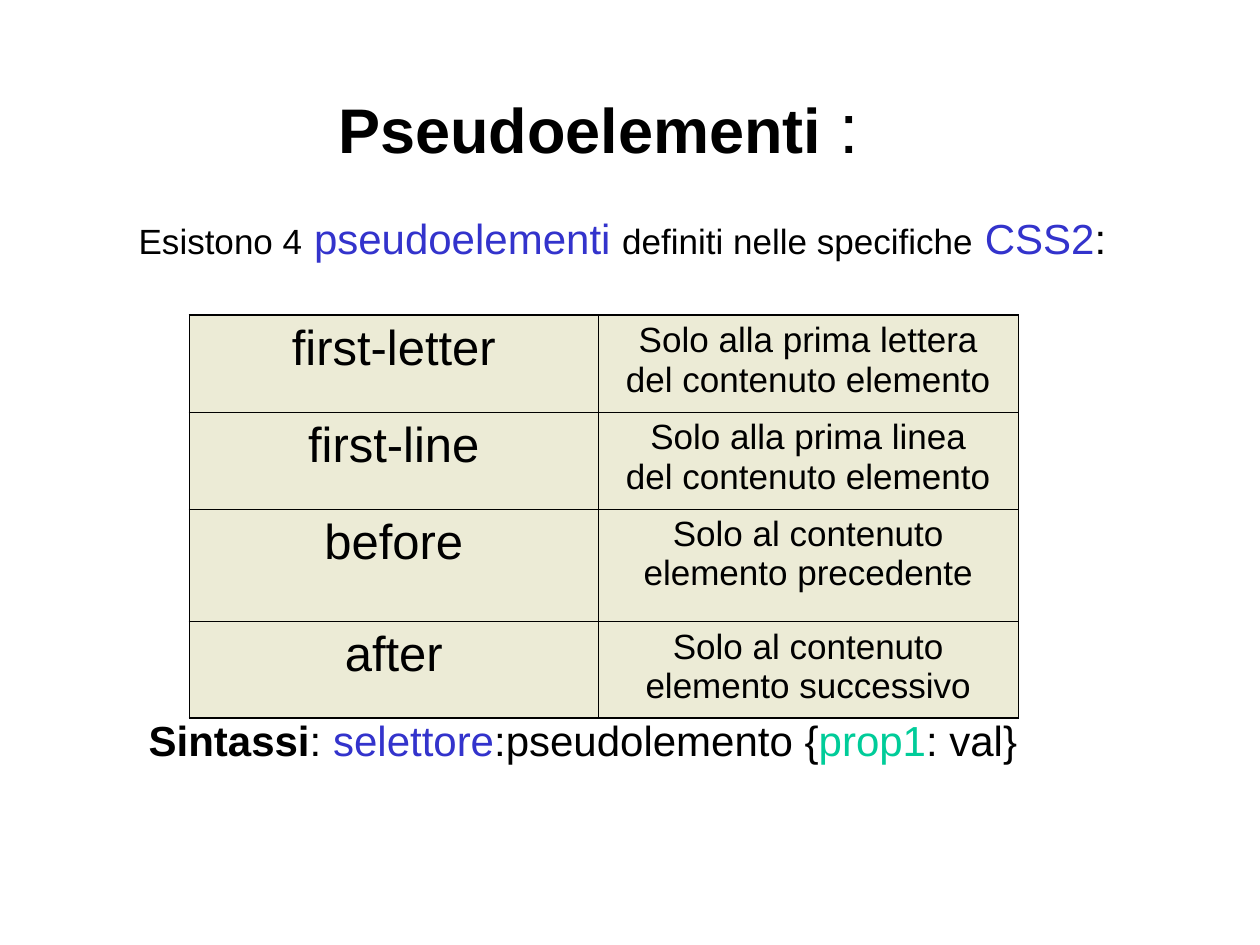
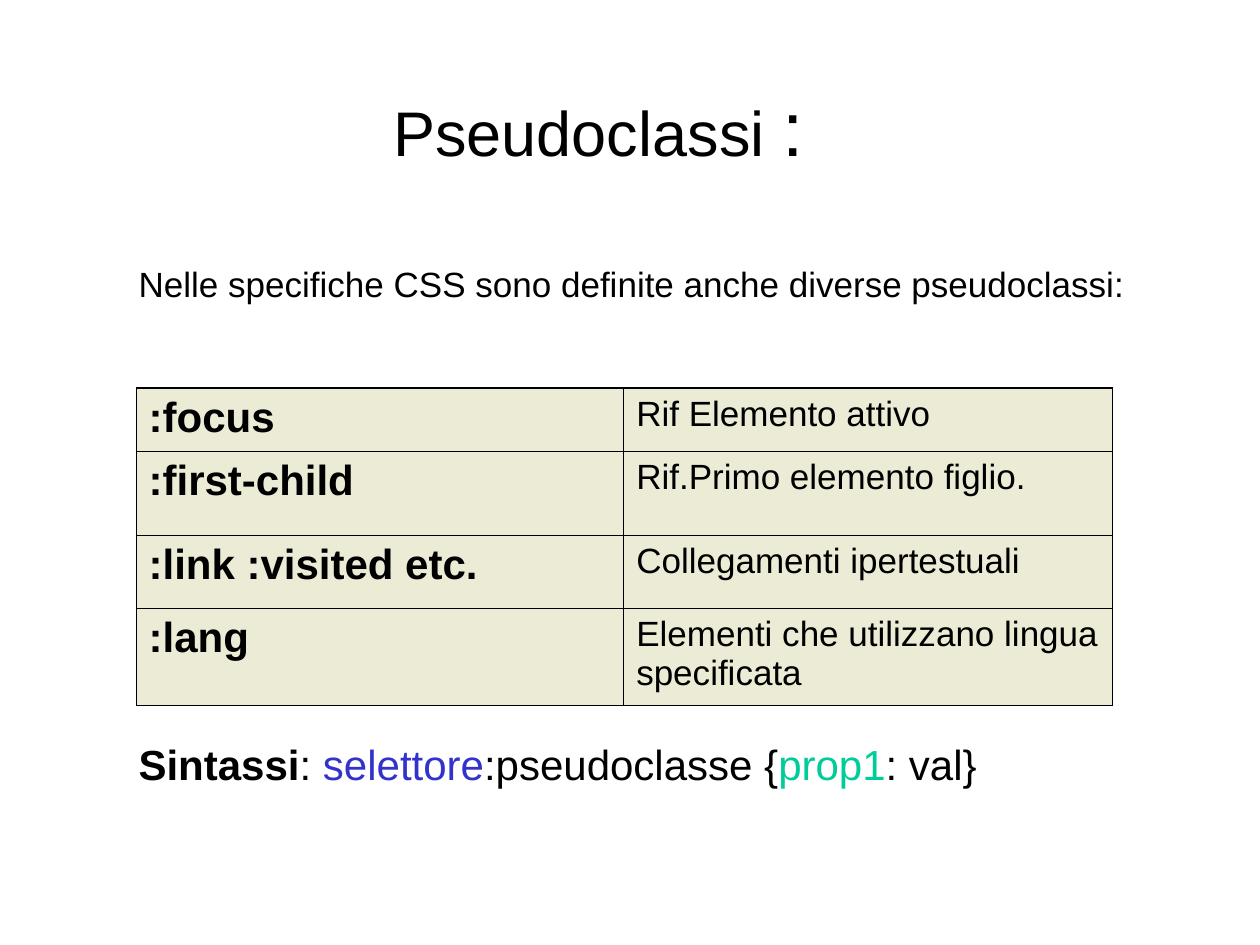
from pptx import Presentation
from pptx.dml.color import RGBColor
from pptx.enum import text
from pptx.oxml import parse_xml
from pptx.oxml.ns import nsdecls
from pptx.util import Inches, Pt

BLACK = RGBColor(0x00, 0x00, 0x00)
BLUE = RGBColor(0x33, 0x33, 0xCC)
GREEN = RGBColor(0x00, 0xCC, 0x99)
BEIGE = RGBColor(0xEC, 0xEB, 0xD6)
FONT = "Arial"
THIN, THICK = 0.45, 1.08
PLAIN_TABLE = "{2D5ABB26-0587-4C30-8999-92F81FD0307C}"
TITLE_ONLY = 5


class LessonDeck:
    def __init__(self):
        self.deck = Presentation()
        self.deck.slide_width = Inches(10)
        self.deck.slide_height = Inches(7.5)
        self.page = None

    def set_spans(self, para, spans, size, bold=False, align=text.PP_ALIGN.LEFT):
        """Fill a paragraph; a span is a string or (string, {font overrides})."""
        para.alignment = align
        font = para.font
        font.name, font.size, font.bold = FONT, Pt(size), bold
        font.color.rgb = BLACK
        for span in spans:
            words, changes = (span, {}) if isinstance(span, str) else span
            run = para.add_run()
            run.text = words
            if "size" in changes:
                run.font.size = Pt(changes["size"])
            if "bold" in changes:
                run.font.bold = changes["bold"]
            if "color" in changes:
                run.font.color.rgb = changes["color"]

    def add_page(self, title_spans):
        self.page = self.deck.slides.add_slide(self.deck.slide_layouts[TITLE_ONLY])
        title = self.page.shapes.title
        title.left, title.top = Inches(0.25), Inches(0.25)
        title.width, title.height = Inches(9), Inches(1.67)
        frame = title.text_frame
        frame.auto_size = text.MSO_AUTO_SIZE.NONE
        frame.vertical_anchor = text.MSO_ANCHOR.MIDDLE
        frame.margin_bottom = Inches(0.23)
        self.set_spans(frame.paragraphs[0], title_spans, 36, align=text.PP_ALIGN.CENTER)

    def add_plain_table(self, left, top, widths, heights):
        table = self.page.shapes.add_table(
            len(heights), len(widths), Inches(left), Inches(top),
            Inches(sum(widths)), Inches(sum(heights))).table
        table.first_row = table.horz_banding = False
        table._tbl.tblPr[0].text = PLAIN_TABLE
        for column, width in zip(table.columns, widths):
            column.width = Inches(width)
        for row, height in zip(table.rows, heights):
            row.height = Inches(height)
        return table

    def add_body(self, width, intro, syntax, intro_size, gap, top_margin=0.05, indent=0.0):
        """One-cell layout table: intro at the top, syntax line below the gap."""
        cell = self.add_plain_table(1, 1.67, [width], [5.42]).cell(0, 0)
        cell.margin_top = Inches(top_margin)
        frame = cell.text_frame
        self.set_spans(frame.paragraphs[0], intro, intro_size)
        para = frame.add_paragraph()
        para.space_before = Pt(gap)
        para._p.get_or_add_pPr().set("marL", str(Inches(indent)))
        self.set_spans(para, syntax, 24)

    def add_border(self, cell, side, width):
        cell._tc.get_or_add_tcPr().append(parse_xml(
            f'<a:ln{side} {nsdecls("a")} w="{Pt(width)}"><a:solidFill>'
            f'<a:srgbClr val="{BLACK}"/></a:solidFill></a:ln{side}>'))

    def add_grid(self, left, top, widths, heights, rows, key_size, bold, align):
        table = self.add_plain_table(left, top, widths, heights)
        last = len(rows) - 1
        for i, row in enumerate(rows):
            for j, words in enumerate(row):
                cell = table.cell(i, j)
                for side in "LRTB":
                    outer = (side, i) in (("T", 0), ("B", last))
                    self.add_border(cell, side, THICK if outer else THIN)
                cell.fill.solid()
                cell.fill.fore_color.rgb = BEIGE
                para = cell.text_frame.paragraphs[0]
                para.text = words
                self.set_spans(para, [], 20 if j else key_size, bold and j == 0, align)


def syntax_line(kind):
    return [("Sintassi", {"bold": True}), ": ", ("selettore", {"color": BLUE}),
            f":{kind} {{", ("prop1", {"color": GREEN}), ": val}"]


def main():
    lesson = LessonDeck()

    lesson.add_page([("Pseudoelementi ", {"bold": True}), (":", {"size": 40})])
    intro = [("Esistono 4", {"size": 20}), " ", ("pseudoelementi ", {"color": BLUE}),
             ("definiti nelle specifiche", {"size": 20}), " ",
             ("CSS2", {"color": BLUE}), ":"]
    lesson.add_body(8, intro, syntax_line("pseudolemento"), 24, gap=260, indent=0.08)
    lesson.add_grid(1.5, 2.5, [3.25, 3.33], [0.77, 0.77, 0.89, 0.77], [
        ("first-letter", "Solo alla prima lettera del contenuto elemento"),
        ("first-line", "Solo alla prima linea\vdel contenuto elemento"),
        ("before", "Solo al contenuto elemento precedente"),
        ("after", "Solo al contenuto elemento successivo"),
    ], 28, False, text.PP_ALIGN.CENTER)

    lesson.add_page(["Pseudoclassi ", (":", {"size": 44})])
    intro = ["Nelle specifiche CSS sono definite anche diverse pseudoclassi:"]
    lesson.add_body(8.42, intro, syntax_line("pseudoclasse"), 20, gap=250, top_margin=0.44)
    lesson.add_grid(1.08, 3.08, [3.87, 3.88], [0.5, 0.67, 0.58, 0.77], [
        (":focus", "Rif Elemento attivo"),
        (":first-child", "Rif.Primo elemento figlio."),
        (":link :visited etc.", "Collegamenti ipertestuali"),
        (":lang", "Elementi che utilizzano lingua specificata"),
    ], 24, True, text.PP_ALIGN.LEFT)

    lesson.deck.save("out.pptx")


if __name__ == "__main__":
    main()
